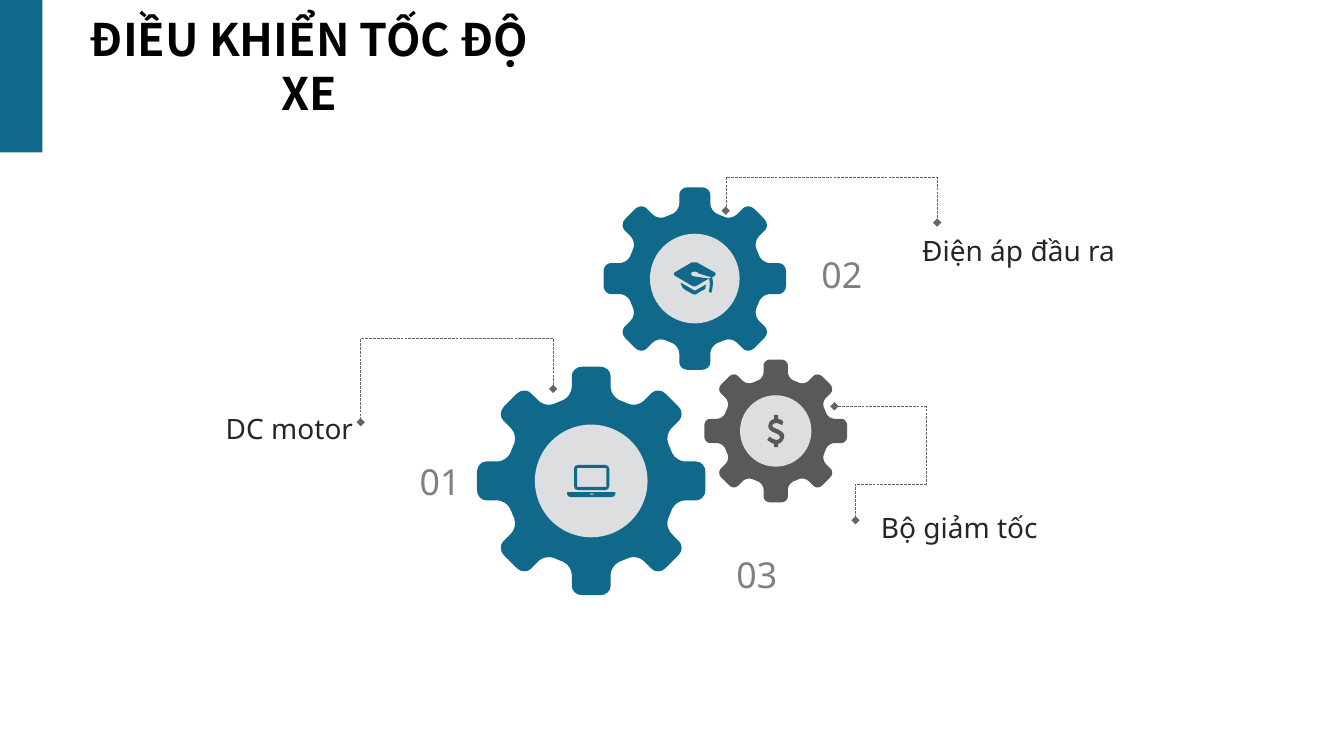
from dataclasses import dataclass
from math import cos, radians, sin

from lxml import etree
from pptx import Presentation
from pptx import util as u
from pptx.dml.color import RGBColor
from pptx.enum import dml, shapes, text
from pptx.oxml import ns


@dataclass(frozen=True)
class Theme:
    teal: str = "10688B"
    gray: str = "595959"
    disc: str = "DCDEE0"
    lead: str = "666666"
    number: str = "808080"
    label: str = "262626"
    black: str = "000000"
    white: str = "FFFFFF"
    body_font: str = "Noto Sans"
    title_font: str = "Noto Sans CJK SC"
    title_size: int = 32
    number_size: int = 44
    label_size: int = 20


THEME = Theme()

# In all outlines, two numbers are a corner and six are a Bézier segment.
# Upright tooth for a gear of radius 1
TOOTH = [(-0.24, -0.71), (-0.2, -0.73, -0.17, -0.78, -0.17, -0.82), (-0.17, -0.92),
         (-0.17, -0.96, -0.13, -1, -0.08, -1), (0.08, -1),
         (0.13, -1, 0.17, -0.96, 0.17, -0.92), (0.17, -0.82),
         (0.17, -0.78, 0.2, -0.73, 0.24, -0.71)]

# Icon outlines on a small grid that starts at 0, 0
CAP = [
    [(35, 29), (35, 30, 38, 31, 38, 28), (40, 18, 38, 15, 38, 15), (35, 16),
     (35, 16, 37, 19, 35, 29)],
    [(41, 10), (23, 0), (22, 0, 20, 0, 18, 0), (1, 10), (0, 11, 0, 12, 1, 13),
     (18, 23), (20, 24, 22, 24, 23, 23), (35, 16), (21, 14),
     (19, 14, 17, 13, 17, 11), (17, 10, 19, 9, 21, 9), (23, 9, 24, 10, 25, 11),
     (38, 15), (41, 13), (42, 12, 42, 11, 41, 10)],
    [(7, 20), (8, 24, 9, 26, 13, 28), (17, 30, 19, 32, 21, 32),
     (22, 32, 24, 30, 28, 28), (33, 26, 31, 26, 32, 22), (21, 28)],
]
DOLLAR = [
    [(11, 29), (11, 32), (7, 32), (7, 29), (3, 28, 1, 25, 0, 25), (2, 22),
     (3, 22), (3, 22, 6, 25, 9, 25), (11, 25, 13, 24, 13, 22),
     (13, 20, 10, 19, 8, 18), (5, 17, 1, 15, 1, 11), (1, 8, 3, 5, 7, 4),
     (7, 0), (11, 0), (11, 4), (14, 4, 16, 6, 16, 7), (15, 10), (14, 10),
     (14, 10, 12, 8, 9, 8), (7, 8, 5, 9, 5, 11), (5, 13, 8, 13, 10, 14),
     (13, 16, 17, 17, 17, 21), (17, 25, 14, 28, 11, 29)],
]
LAPTOP = [
    [(10, 3), (39, 3), (39, 22), (10, 22)],
    [(7, 21), (7, 4), (7, 2, 8, 0, 11, 0), (38, 0), (40, 0, 42, 2, 42, 4),
     (42, 21), (42, 24, 40, 25, 38, 25), (11, 25), (8, 25, 7, 24, 7, 21)],
    [(48, 27), (48, 29), (48, 31, 46, 32, 44, 32), (4, 32),
     (2, 32, 0, 31, 0, 29), (0, 27)],
    [(22, 28.5), (27, 28.5), (26, 29.5), (23, 29.5)],
]


def pairs(item):
    return list(zip(item[::2], item[1::2]))


def transform(outline, move):
    """Apply move(x, y) to each point of an outline."""
    return [tuple(v for point in pairs(item) for v in move(*point)) for item in outline]


def paint(shape, fill):
    shape.shadow.inherit = False
    shape.fill.solid()
    shape.fill.fore_color.rgb = RGBColor.from_string(fill)
    shape.line.fill.background()
    return shape


def add_freeform(page, outlines, close=True):
    """Draw outlines given in centimetres, with true Bézier segments."""
    placed = [[(u.Cm(x), u.Cm(y)) for item in outline for x, y in pairs(item)]
              for outline in outlines]
    builder = page.shapes.build_freeform(*placed[0][0])
    for index, points in enumerate(placed):
        if index:
            builder.move_to(*points[0])
        builder.add_line_segments(points[1:], close=close)
    shape = builder.convert_to_shape()
    segments = iter(list(shape._element.iter(ns.qn("a:lnTo"))))
    for item in (item for outline in outlines for item in outline[1:]):
        segment = next(segments)
        if len(item) == 6:
            curve = etree.Element(ns.qn("a:cubicBezTo"))
            segment.addprevious(curve)
            for part in (segment, next(segments), next(segments)):
                curve.append(part[0])
                part.getparent().remove(part)
    return shape


def add_preset(page, kind, left, top, width, height, fill):
    return paint(page.shapes.add_shape(
        kind, u.Cm(left), u.Cm(top), u.Cm(width), u.Cm(height)), fill)


def add_gear(page, x, y, radius, fill):
    rim = []
    for turn in range(0, 360, 45):
        c, s = radius * cos(radians(turn)), radius * sin(radians(turn))
        rim += transform(TOOTH, lambda a, b: (x + a * c - b * s, y + a * s + b * c))
    paint(add_freeform(page, [rim]), fill)


def add_badge(page, x, y, diameter, icon, icon_width, fill):
    """Draw a light disc with an icon at its centre."""
    add_preset(page, shapes.MSO_SHAPE.OVAL, x - diameter / 2, y - diameter / 2,
               diameter, diameter, THEME.disc)
    points = [point for outline in icon for item in outline for point in pairs(item)]
    columns, rows = (max(axis) for axis in zip(*points))
    scale = icon_width / columns
    paint(add_freeform(page, [
        transform(outline, lambda a, b: (x + (a - columns / 2) * scale,
                                         y + (b - rows / 2) * scale))
        for outline in icon]), fill)


def add_lead(page, points):
    """Draw a dashed leader with a diamond at both ends."""
    lead = add_freeform(page, [points], close=False)
    lead.shadow.inherit = False
    lead.fill.background()
    lead.line.color.rgb = RGBColor.from_string(THEME.lead)
    lead.line.width = u.Pt(0.25)
    lead.line.dash_style = dml.MSO_LINE.LONG_DASH
    outline = lead.line._get_or_add_ln()
    for end in ("a:headEnd", "a:tailEnd"):
        etree.SubElement(outline, ns.qn(end), type="diamond")


def write(box, words, *, size, color, font=THEME.body_font, bold=False,
          align=text.PP_ALIGN.LEFT, anchor=text.MSO_ANCHOR.TOP, baseline=None):
    frame = box.text_frame
    frame.word_wrap = True
    frame.vertical_anchor = anchor
    para = frame.paragraphs[0]
    para.alignment = align
    span = para.add_run()
    span.text = words
    span.font.size = u.Pt(size)
    span.font.name = font
    span.font.bold = bold
    span.font.color.rgb = RGBColor.from_string(color)
    if baseline is not None:
        span._r.get_or_add_rPr().set("baseline", str(baseline))


def add_text(page, words, left, top, width, height, **style):
    box = page.shapes.add_textbox(u.Cm(left), u.Cm(top), u.Cm(width), u.Cm(height))
    write(box, words, **style)


def main():
    deck = Presentation()
    deck.slide_width, deck.slide_height = u.Cm(33.87), u.Cm(19.05)
    page = deck.slides.add_slide(deck.slide_layouts[6])
    left, center, right = text.PP_ALIGN.LEFT, text.PP_ALIGN.CENTER, text.PP_ALIGN.RIGHT

    # Corner bar and title
    rectangle = shapes.MSO_SHAPE.RECTANGLE
    add_preset(page, rectangle, 0, 0, 1.07, 3.84, THEME.teal)
    title = add_preset(page, rectangle, 1.65, 0.38, 12.29, 2.54, THEME.white)
    write(title, "ĐIỀU KHIỂN TỐC ĐỘ XE", size=THEME.title_size, color=THEME.black,
          font=THEME.title_font, bold=True, align=center, anchor=text.MSO_ANCHOR.MIDDLE)

    # Gears with their icons
    for x, y, radius, disc, icon, icon_width, fill in (
            (19.55, 10.86, 1.8, 1.8, DOLLAR, 0.43, THEME.gray),
            (17.51, 7.02, 2.3, 2.26, CAP, 1.07, THEME.teal),
            (14.9, 12.12, 2.88, 2.84, LAPTOP, 1.22, THEME.teal)):
        add_gear(page, x, y, radius, fill)
        add_badge(page, x, y, disc, icon, icon_width, fill)

    # Leaders
    for points in (
            [(13.94, 9.8), (13.94, 8.53), (9.09, 8.53), (9.09, 10.64)],
            [(18.29, 5.31), (18.29, 4.47), (23.62, 4.47), (23.62, 5.61)],
            [(21.03, 10.24), (23.34, 10.24), (23.34, 12.19), (21.56, 12.19),
             (21.56, 13.11)]):
        add_lead(page, points)

    # Numbers and labels
    for number, x, y, align in (("01", 10.03, 10.77, right), ("02", 20.45, 5.54, left),
                                ("03", 18.31, 13.11, left)):
        add_text(page, number, x, y, 1.83, 1.5, size=THEME.number_size,
                 color=THEME.number, align=align, baseline=-3000)
    for label, x, y, align in (("DC motor", 4.17, 10.24, center),
                               ("Điện áp đầu ra", 22.99, 5.77, left),
                               ("Bộ giảm tốc", 21.95, 12.73, left)):
        add_text(page, label, x, y, 6.25, 1.09, size=THEME.label_size,
                 color=THEME.label, align=align)

    deck.save("out.pptx")


if __name__ == "__main__":
    main()
